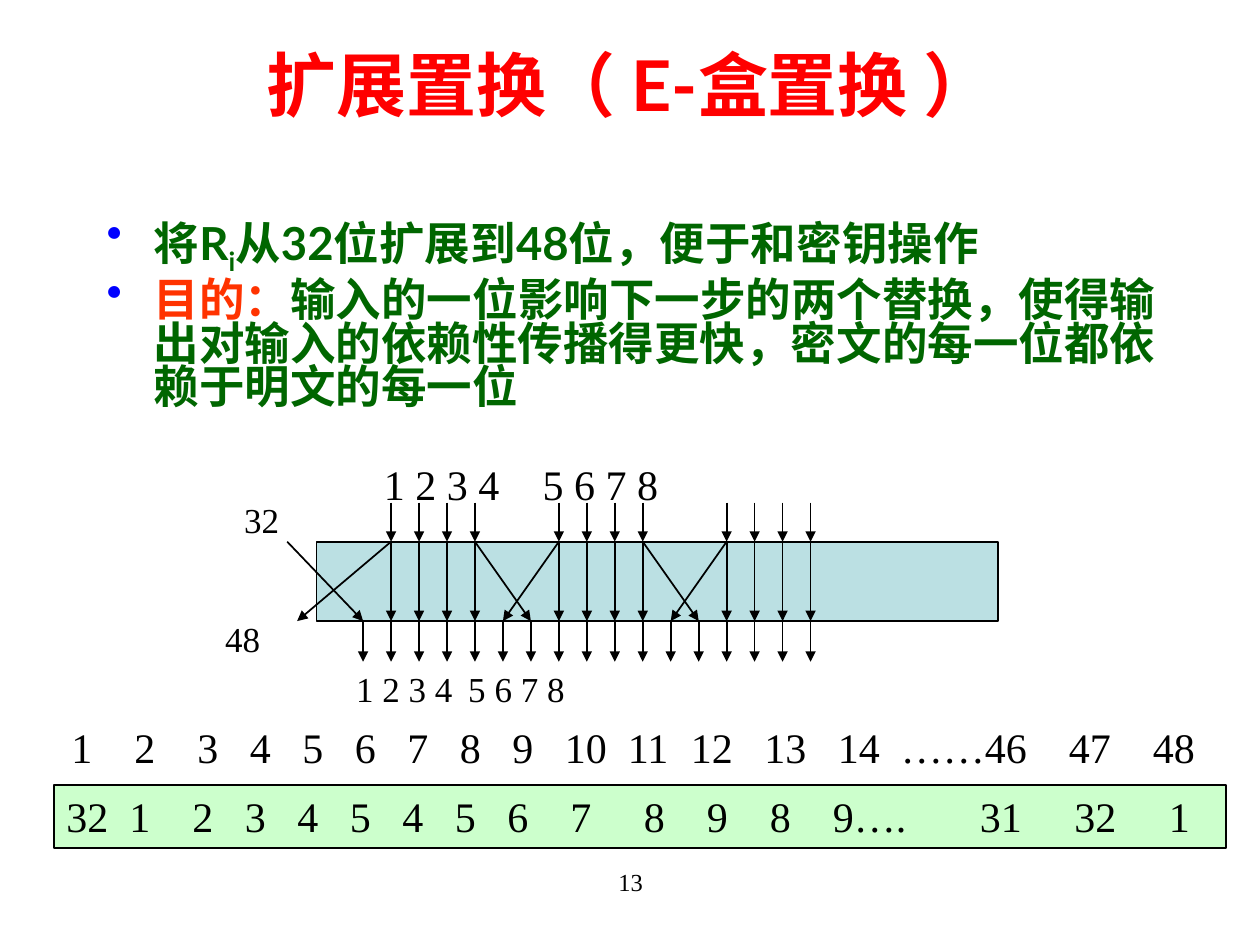
import pptx
import pptx.dml.color
import pptx.enum.shapes
import pptx.enum.text
import pptx.oxml
import pptx.oxml.ns
import pptx.util
from lxml import etree

Cm = pptx.util.Cm
Pt = pptx.util.Pt
ALIGN = pptx.enum.text.PP_ALIGN
ANCHOR = pptx.enum.text.MSO_ANCHOR
BLACK, GREEN = "000000", "006600"
SERIF, SANS = "Times New Roman", "Lato"

TITLE = "扩展置换（ E-盒置换 ）"
PAGE_NUMBER = "13"

# Each bullet is a list of runs: text, colour, baseline shift in 1/1000 percent
BULLETS = [
    [("将R", GREEN, 0), ("i", GREEN, -25000),
     ("从32位扩展到48位，便于和密钥操作", GREEN, 0)],
    [("目的：", "FF3300", 0),
     ("输入的一位影响下一步的两个替换，使得输出对输入的依赖性传播得更快，"
      "密文的每一位都依赖于明文的每一位", GREEN, 0)],
]

# Diagram labels: text, size in points, box (left, top, width, height) in cm
LABELS = [
    ("1 2 3 4", 24, (7.49, 9.12, 3.02, 1.27)),
    ("5 6 7 8", 24, (10.69, 9.12, 3.02, 1.27)),
    ("1 2 3 4", 20, (6.93, 13.34, 3.02, 1.12)),
    ("5 6 7 8", 20, (9.19, 13.34, 3.02, 1.12)),
    ("32", 20, (4.67, 9.93, 1.7, 1.12)),
    ("48", 20, (4.29, 12.32, 1.7, 1.12)),
]

# Table rows: entries with their offsets, counted in widths of a space
SPACE_WIDTH = Pt(6)
OUTPUT_BITS = (
    ["1", "2", "3", "4", "5", "6", "7", "8", "9", "10", "11", "12", "13", "14",
     "……46", "47", "48"],
    [0, 6, 12, 17, 22, 27, 32, 37, 42, 47, 53, 59, 66, 73, 79, 95, 103])
SOURCE_BITS = (
    ["32", "1", "2", "3", "4", "5", "4", "5", "6", "7", "8", "9", "8", "9….",
     "31", "32", "1"],
    [0, 6, 12, 17, 22, 27, 32, 37, 42, 48, 55, 61, 67, 73, 87, 96, 105])

# Diagram grid in cm
FIRST_X, LAST_X, OUTPUT_COUNT = 7.32, 16.34, 17
INPUT_Y, BOX_TOP, BOX_BOTTOM, OUTPUT_Y = 10.13, 10.92, 12.52, 13.34
INPUT_COLUMNS = [start + step for start in (1, 7, 13) for step in range(4)]
CROSSINGS = [(4, 6), (7, 5), (10, 12), (13, 11)]
OUTER_INPUT_X, OUTER_OUTPUT_X = 5.79, 5.99


def colour(hex_text):
    return pptx.dml.color.RGBColor.from_string(hex_text)


def column_x(column):
    return FIRST_X + column * (LAST_X - FIRST_X) / (OUTPUT_COUNT - 1)


def set_values(target, values):
    for name, value in values.items():
        setattr(target, name, value)


def add_run(paragraph, text, size, font=SERIF, hex_text=BLACK, bold=False):
    run = paragraph.add_run()
    run.text = text
    set_values(run.font, {"size": Pt(size), "name": font, "bold": bold})
    run.font.color.rgb = colour(hex_text)
    return run


def add_text_box(slide, box, anchor=ANCHOR.TOP):
    """Add an empty wrapping box and return its text frame."""
    frame = slide.shapes.add_textbox(*map(Cm, box)).text_frame
    set_values(frame, {"word_wrap": True, "vertical_anchor": anchor})
    return frame


def add_rectangle(slide, box, fill):
    shape = slide.shapes.add_shape(
        pptx.enum.shapes.MSO_SHAPE.RECTANGLE, *map(Cm, box))
    shape.shadow.inherit = False
    shape.fill.solid()
    shape.fill.fore_color.rgb = colour(fill)
    shape.line.color.rgb = colour(BLACK)
    shape.line.width = Pt(1)
    return shape


def add_arrow(slide, start, end):
    arrow = slide.shapes.add_connector(
        pptx.enum.shapes.MSO_CONNECTOR.STRAIGHT, *map(Cm, start + end))
    arrow.line.color.rgb = colour(BLACK)
    arrow.line.width = Pt(1)
    properties = arrow._element.spPr
    line = properties.find(pptx.oxml.ns.qn("a:ln"))
    etree.SubElement(line, pptx.oxml.ns.qn("a:tailEnd"), type="triangle")
    etree.SubElement(properties, pptx.oxml.ns.qn("a:effectLst"))


def add_bullet(paragraph):
    properties = paragraph._p.get_or_add_pPr()
    properties.set("marL", str(Cm(0.95)))
    properties.set("indent", str(-Cm(0.95)))
    bullet_colour = etree.SubElement(properties, pptx.oxml.ns.qn("a:buClr"))
    etree.SubElement(bullet_colour, pptx.oxml.ns.qn("a:srgbClr"), val="0000FF")
    etree.SubElement(properties, pptx.oxml.ns.qn("a:buChar"), char="•")


def fill_tabbed_row(frame, row):
    entries, offsets = row
    paragraph = frame.paragraphs[0]
    paragraph.alignment = ALIGN.LEFT
    tabs = etree.SubElement(
        paragraph._p.get_or_add_pPr(), pptx.oxml.ns.qn("a:tabLst"))
    for offset in offsets[1:]:
        etree.SubElement(tabs, pptx.oxml.ns.qn("a:tab"),
                         pos=str(offset * SPACE_WIDTH), algn="l")
    add_run(paragraph, "\t".join(entries), 24)


def add_heading_and_bullets(slide):
    title = add_text_box(slide, (0, 0.84, 25.4, 1.7), ANCHOR.MIDDLE)
    title.paragraphs[0].alignment = ALIGN.CENTER
    add_run(title.paragraphs[0], TITLE, 40, SANS, "FF0000", True)

    body = add_text_box(slide, (1.9, 4.32, 22.23, 4.39))
    for index, runs in enumerate(BULLETS):
        paragraph = body.add_paragraph() if index else body.paragraphs[0]
        add_bullet(paragraph)
        set_values(paragraph, {"line_spacing": 0.8,
                               "space_before": Pt(6.5 if index else 0)})
        for text, hex_text, baseline in runs:
            run = add_run(paragraph, text, 26, SANS, hex_text, True)
            if baseline:
                run._r.get_or_add_rPr().set("baseline", str(baseline))


def add_diagram(slide):
    add_rectangle(slide, (6.38, BOX_TOP, 13.74, BOX_BOTTOM - BOX_TOP), "BBE0E3")
    paths = [(OUTER_INPUT_X, column_x(0)), (column_x(1), OUTER_OUTPUT_X)]
    paths += [(column_x(a), column_x(b)) for a, b in CROSSINGS]
    paths += [(column_x(c), column_x(c)) for c in INPUT_COLUMNS]
    for start_x, end_x in paths:
        add_arrow(slide, (start_x, BOX_TOP), (end_x, BOX_BOTTOM))
    for x in map(column_x, INPUT_COLUMNS):
        add_arrow(slide, (x, INPUT_Y), (x, BOX_TOP))
    for x in map(column_x, range(OUTPUT_COUNT)):
        add_arrow(slide, (x, BOX_BOTTOM), (x, OUTPUT_Y))
    for text, size, box in LABELS:
        add_run(add_text_box(slide, box).paragraphs[0], text, size)


def add_bit_rows(slide):
    source_row = add_rectangle(slide, (1.09, 15.82, 23.62, 1.27), "CCFFCC")
    source_row.text_frame.vertical_anchor = ANCHOR.TOP
    fill_tabbed_row(source_row.text_frame, SOURCE_BITS)
    fill_tabbed_row(add_text_box(slide, (1.19, 14.43, 23.7, 1.27)), OUTPUT_BITS)


def main():
    presentation = pptx.Presentation()
    set_values(presentation, {"slide_width": Cm(25.4), "slide_height": Cm(19.05)})
    slide = presentation.slides.add_slide(presentation.slide_layouts[6])
    page = add_text_box(slide, (8.69, 17.35, 8.05, 1.27)).paragraphs[0]
    page.alignment = ALIGN.CENTER
    add_run(page, PAGE_NUMBER, 14)
    add_heading_and_bullets(slide)
    add_diagram(slide)
    add_bit_rows(slide)
    presentation.save("out.pptx")


if __name__ == "__main__":
    main()
